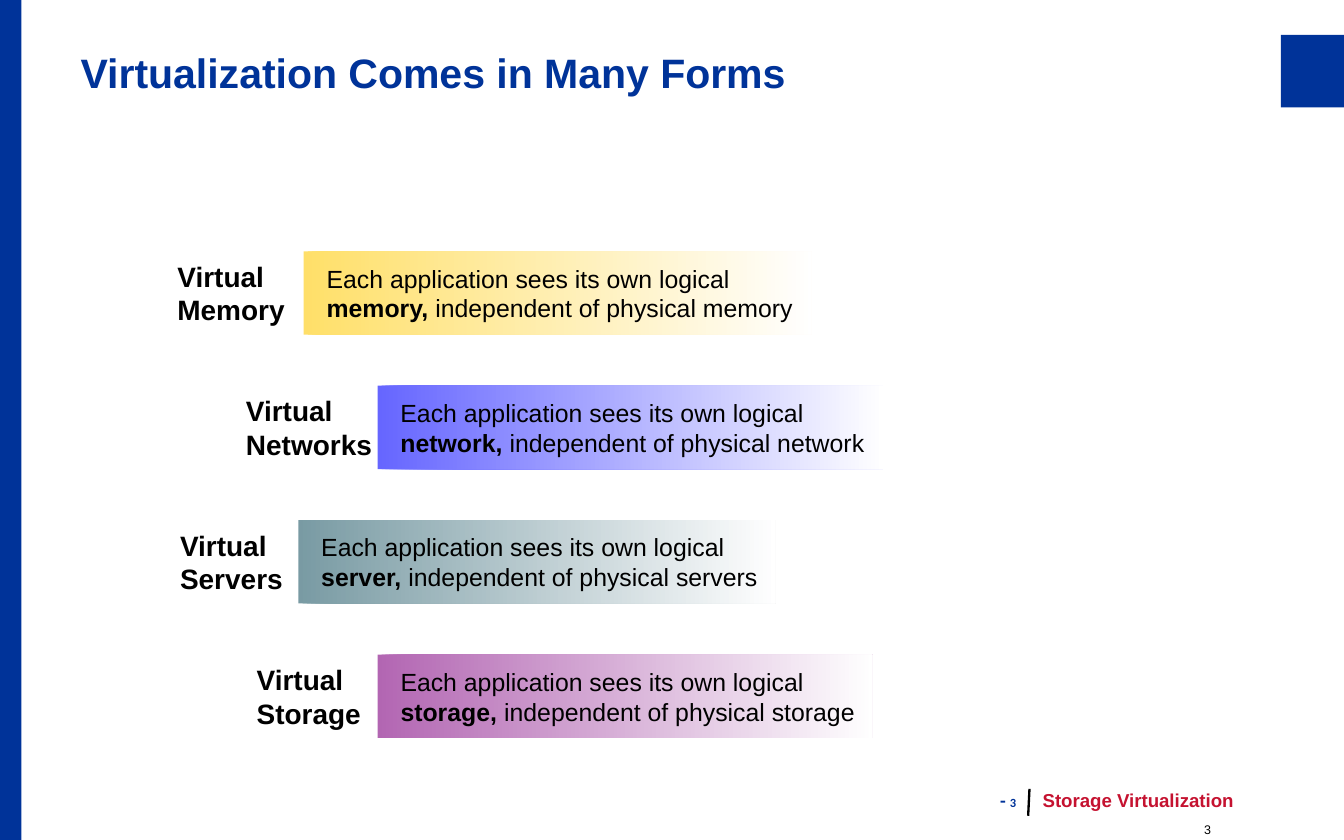
from lxml.etree import SubElement
from pptx import Presentation
from pptx.dml.color import RGBColor
from pptx.enum.shapes import MSO_CONNECTOR, MSO_SHAPE
from pptx.enum.text import MSO_ANCHOR, MSO_AUTO_SIZE, PP_ALIGN
from pptx.oxml.ns import qn
from pptx.util import Inches, Pt

NAVY = RGBColor(0x00, 0x33, 0x99)
CRIMSON = RGBColor(0xC5, 0x12, 0x30)
BLACK = RGBColor(0x00, 0x00, 0x00)
WHITE = RGBColor(0xFF, 0xFF, 0xFF)
GOLD = RGBColor(0xFF, 0xCB, 0x05)
BLUE = RGBColor(0x00, 0x00, 0xFF)
TEAL = RGBColor(0x20, 0x58, 0x67)
PURPLE = RGBColor(0x80, 0x00, 0x80)

TITLE_FONT = {"name": "Arial", "size": Pt(22), "bold": True}
LABEL_FONT = {"name": "Arial", "size": Pt(15), "bold": True}
BODY_FONT = {"name": "Arial", "size": Pt(13.3), "bold": False}
KEYWORD_FONT = {**BODY_FONT, "bold": True}
FOOTER_FONT = {"name": "Arial", "size": Pt(10), "bold": True}
DASH_FONT = {**FOOTER_FONT, "name": "Calibri"}
PAGE_FONT = {**DASH_FONT, "size": Pt(6.7)}
NUMBER_FONT = {"name": "Arial", "size": Pt(6.7), "bold": False}

NO_MARGINS = (0, 0, 0, 0)
BAR_MARGINS = (0.17, 0.08, 0.1, 0.08)
FIRST_ROW_TOP, ROW_STEP, BAR_HEIGHT, LABEL_HEIGHT = 1.87, 1.0, 0.62, 0.5

# keyword, rest of line, label, colour, label left, label width, bar left, bar width
FORMS = [
    ("memory,", " independent of physical memory", "Virtual\vMemory", GOLD, 1.32, 0.81, 2.26, 3.78),
    ("network,", " independent of physical network", "Virtual\vNetworks", BLUE, 1.83, 0.95, 2.81, 3.76),
    ("server,", " independent of physical servers", "Virtual\vServers", TEAL, 1.34, 0.77, 2.22, 3.55),
    ("storage,", " independent of physical storage", "Virtual\vStorage", PURPLE, 1.91, 0.78, 2.81, 3.68),
]


def set_format(target, values):
    for name, value in values.items():
        setattr(target, name, value)


def set_font(font, values, color):
    set_format(font, values)
    font.color.rgb = color


def set_frame(frame, margins, fit=True):
    sides = ("margin_left", "margin_top", "margin_right", "margin_bottom")
    set_format(frame, dict(zip(sides, map(Inches, margins))))
    set_format(frame, {
        "word_wrap": not fit,
        "auto_size": MSO_AUTO_SIZE.SHAPE_TO_FIT_TEXT if fit else MSO_AUTO_SIZE.NONE,
        "vertical_anchor": MSO_ANCHOR.MIDDLE,
    })


def add_runs(paragraph, runs, color):
    for text, values in runs:
        run = paragraph.add_run()
        run.text = text
        set_font(run.font, values, color)


def add_text(slide, box, runs, color, margins=(0.1, 0.05, 0.1, 0.05), align=PP_ALIGN.LEFT):
    frame = slide.shapes.add_textbox(*map(Inches, box)).text_frame
    set_frame(frame, margins, fit=False)
    frame.paragraphs[0].alignment = align
    add_runs(frame.paragraphs[0], runs, color)


def add_rectangle(slide, box):
    rectangle = slide.shapes.add_shape(MSO_SHAPE.RECTANGLE, *map(Inches, box))
    rectangle.shadow.inherit = False
    rectangle.line.fill.background()
    return rectangle


def add_frame_blocks(slide):
    for box in ((9.53, 0.26, 0.47, 0.54), (0, 0, 0.16, 6.25)):
        block = add_rectangle(slide, box)
        block.fill.solid()
        block.fill.fore_color.rgb = NAVY


def add_title(slide, left, top, width, height):
    title = slide.shapes.title
    set_format(title, {"left": Inches(left), "top": Inches(top),
                       "width": Inches(width), "height": Inches(height)})
    title.fill.solid()
    title.fill.fore_color.rgb = WHITE
    set_frame(title.text_frame, (0.1, 0.05, 0.1, 0.05), fit=False)
    heading = title.text_frame.paragraphs[0]
    heading.alignment = PP_ALIGN.LEFT
    add_runs(heading, [("Virtualization Comes in Many Forms", TITLE_FONT)], NAVY)


def add_footer(slide, divider_x, top, height):
    # Divider between page number and deck name
    divider = slide.shapes.add_connector(
        MSO_CONNECTOR.STRAIGHT, Inches(divider_x), Inches(top + 0.08),
        Inches(divider_x - 0.01), Inches(top + 0.28))
    divider.line.color.rgb = BLACK
    divider.line.width = Pt(1.25)
    SubElement(divider._element.spPr, qn("a:effectLst"))

    add_text(slide, (divider_x, top, 1.83, height),
             [("Storage Virtualization", FOOTER_FONT)], CRIMSON)
    add_text(slide, (divider_x - 3.17, top, 3.17, height),
             [(" - ", DASH_FONT), ("3", PAGE_FONT)], NAVY, align=PP_ALIGN.RIGHT)
    add_text(slide, (divider_x + 1.3, top + 0.33, 0.21, 0.11),
             [("3", NUMBER_FONT)], BLACK, margins=NO_MARGINS)


def add_form_row(slide, top, keyword, rest, label, color,
                 label_left, label_width, bar_left, bar_width):
    # Bar fading from its colour to white, 60% opaque
    bar = add_rectangle(slide, (bar_left, top, bar_width, BAR_HEIGHT))
    bar.fill.gradient()
    bar.fill.gradient_angle = 0
    for stop, stop_color in zip(bar.fill.gradient_stops, (color, WHITE)):
        stop.color.rgb = stop_color
    for stop_element in bar._element.spPr.iter(qn("a:srgbClr")):
        SubElement(stop_element, qn("a:alpha"), val="60000")

    frame = bar.text_frame
    set_frame(frame, BAR_MARGINS)
    lines = [
        [("Each application sees its own logical", BODY_FONT)],
        [(keyword, KEYWORD_FONT), (rest, BODY_FONT)],
    ]
    for paragraph, runs in zip((frame.paragraphs[0], frame.add_paragraph()), lines):
        paragraph.alignment = PP_ALIGN.LEFT
        add_runs(paragraph, runs, BLACK)

    # Label centred on the bar's height
    label_top = top + (BAR_HEIGHT - LABEL_HEIGHT) / 2
    label_frame = slide.shapes.add_textbox(
        Inches(label_left), Inches(label_top),
        Inches(label_width), Inches(LABEL_HEIGHT)).text_frame
    set_frame(label_frame, NO_MARGINS)
    label_frame.paragraphs[0].text = label
    for run in label_frame.paragraphs[0].runs:
        set_font(run.font, LABEL_FONT, BLACK)


def main():
    deck = Presentation()
    deck.slide_width, deck.slide_height = Inches(10), Inches(6.25)
    slide = deck.slides.add_slide(deck.slide_layouts[5])
    add_frame_blocks(slide)
    add_title(slide, 0.5, 0.25, 9.03, 0.57)
    add_footer(slide, 7.66, 5.79, 0.33)
    for index, form in enumerate(FORMS):
        add_form_row(slide, FIRST_ROW_TOP + index * ROW_STEP, *form)
    deck.save("out.pptx")


if __name__ == "__main__":
    main()
